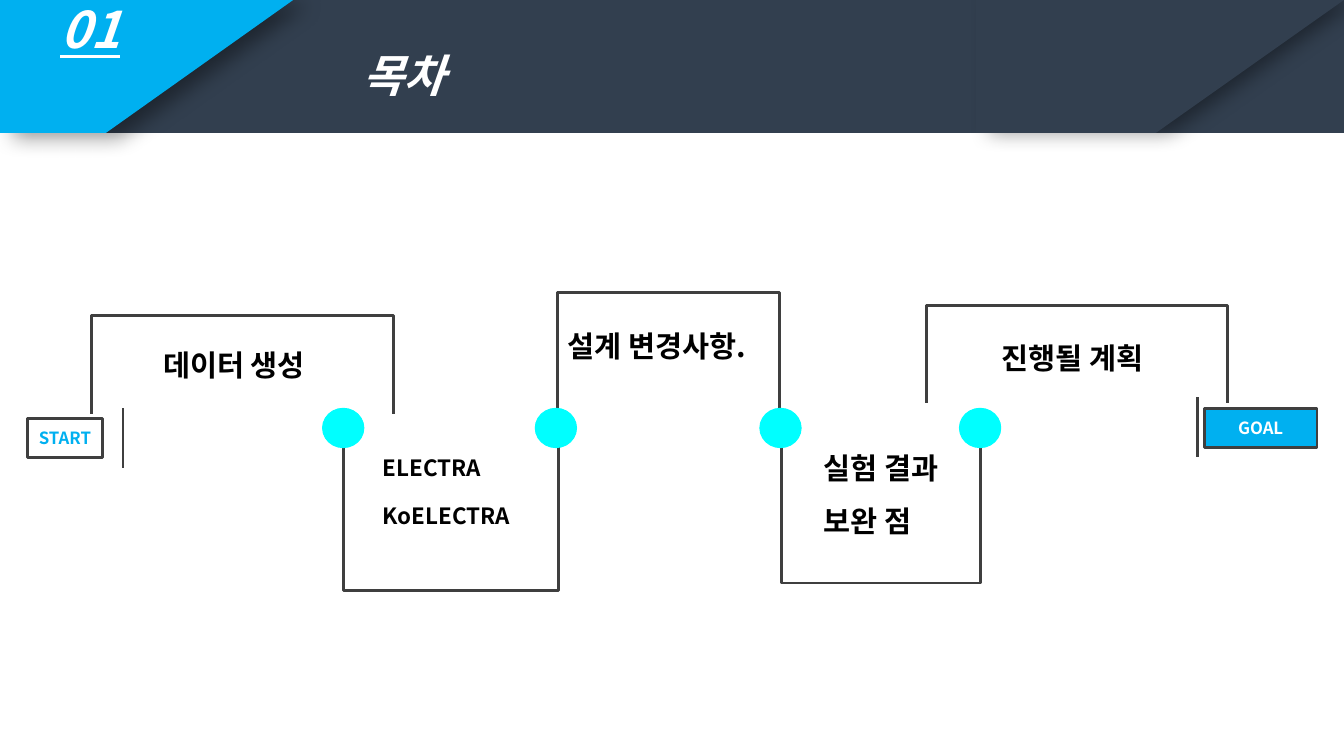
import pptx
import pptx.util
import pptx.dml.color
import pptx.enum.shapes
import pptx.enum.text
import lxml.etree

Cm, Pt = pptx.util.Cm, pptx.util.Pt
SHAPE = pptx.enum.shapes.MSO_SHAPE
ANCHOR = pptx.enum.text.MSO_ANCHOR
ALIGN = pptx.enum.text.PP_ALIGN
FONT = "Noto Sans CJK KR"
NAVY, BLUE, CYAN, GRAY = "323F4F", "00B0F0", "00FFFF", "3F3F3F"
WHITE, BLACK = "FFFFFF", "000000"
A = "http://schemas.openxmlformats.org/drawingml/2006/main"


def paint(shape, fill=None, line=None, width=2):
    """Set fill and outline; None leaves the part empty."""
    shape.shadow.inherit = False
    for part, color in ((shape.fill, fill), (shape.line.fill, line)):
        if color:
            part.solid()
            part.fore_color.rgb = pptx.dml.color.RGBColor.from_string(color)
        else:
            part.background()
    if line:
        shape.line.width = Pt(width)


def write(shape, lines, size, color, align=ALIGN.LEFT, anchor=ANCHOR.TOP,
          spacing=0.9, gap=0, margins=(0.25, 0.25, 0.25, 0.25)):
    """Fill the shape with bold lines; margins are left, top, right, bottom in cm."""
    frame = shape.text_frame
    frame.word_wrap = True
    frame.vertical_anchor = anchor
    (frame.margin_left, frame.margin_top,
     frame.margin_right, frame.margin_bottom) = map(Cm, margins)
    frame.text = "\n".join(lines)
    for number, paragraph in enumerate(frame.paragraphs):
        paragraph.alignment = align
        paragraph.line_spacing = spacing
        if number:
            paragraph.space_before = Pt(gap)
        font = paragraph.font
        font.size, font.bold, font.name = Pt(size), True, FONT
        font.color.rgb = pptx.dml.color.RGBColor.from_string(color)
        east_asian = lxml.etree.SubElement(font._element, f"{{{A}}}ea")
        east_asian.set("typeface", FONT)


deck = pptx.Presentation()
deck.slide_width, deck.slide_height = Cm(33.87), Cm(19.05)
shapes = deck.slides.add_slide(deck.slide_layouts[6]).shapes

# Header band with its two slanted panels
header_height = 3.35
header = shapes.add_shape(SHAPE.RECTANGLE, 0, 0, Cm(33.87), Cm(header_height))
paint(header, NAVY)
write(header, ["목차"], 32, WHITE, anchor=ANCHOR.MIDDLE, spacing=1,
      margins=(9.14, 0.55, 0.25, 0.13))
header.text_frame.paragraphs[0].font.italic = True

panels = []
for left, top_right, bottom_right, color, shadow_angle in (
        (24.59, 33.87, 29.13, NAVY, 0), (0, 7.39, 2.67, BLUE, 20)):
    outline = shapes.build_freeform(Cm(left), 0)
    outline.add_line_segments([(Cm(top_right), 0),
                               (Cm(bottom_right), Cm(header_height)),
                               (Cm(left), Cm(header_height))])
    panel = outline.convert_to_shape()
    paint(panel, color)
    effects = panel._element.spPr.find(f"{{{A}}}effectLst")
    shadow = lxml.etree.SubElement(
        effects, f"{{{A}}}outerShdw", blurRad=str(Pt(15)), dist=str(Pt(10)),
        dir=str(shadow_angle * 60000), algn="ctr", rotWithShape="0")
    shade = lxml.etree.SubElement(shadow, f"{{{A}}}srgbClr", val=BLACK)
    lxml.etree.SubElement(shade, f"{{{A}}}alpha", val="40000")
    panels.append(panel)

number_panel = panels[-1]
write(number_panel, ["01"], 36, WHITE, margins=(1.52, 0.13, 0.25, 0.13))
number_font = number_panel.text_frame.paragraphs[0].font
number_font.italic = number_font.underline = True

# Winding path: centre x, centre y, span, depth; 270 closes at the top, 90 at the bottom
for center_x, center_y, span, depth, rotation in (
        (6.11, 9.19, 7.6, 2.46, 270),
        (11.37, 13.04, 5.41, 3.68, 90),
        (16.84, 9.09, 5.59, 3.45, 270),
        (22.2, 12.85, 5.03, 3.68, 90),
        (27.14, 8.92, 7.6, 2.46, 270)):
    bracket = shapes.add_shape(SHAPE.RIGHT_BRACKET, Cm(center_x - depth / 2),
                               Cm(center_y - span / 2), Cm(depth), Cm(span))
    bracket.adjustments[0] = 0
    bracket.rotation = rotation
    paint(bracket, line=GRAY)

for x, top in ((3.1, 10.29), (30.18, 10.01)):
    tick = shapes.add_connector(pptx.enum.shapes.MSO_CONNECTOR.STRAIGHT,
                                Cm(x), Cm(top), Cm(x), Cm(top + 1.5))
    tick.line.width = Pt(2)
    tick.line.color.rgb = pptx.dml.color.RGBColor.from_string(GRAY)
    lxml.etree.SubElement(tick._element.spPr, f"{{{A}}}effectLst")

for left in (8.13, 13.49, 19.15, 24.18):
    stop = shapes.add_shape(SHAPE.OVAL, Cm(left), Cm(10.29), Cm(1.04), Cm(0.99))
    paint(stop, CYAN, CYAN, 0.75)

for word, left, top, width, fill, color in (
        ("START", 0.69, 10.54, 1.9, WHITE, BLUE),
        ("GOAL", 30.35, 10.29, 2.84, BLUE, WHITE)):
    end_box = shapes.add_shape(SHAPE.RECTANGLE, Cm(left), Cm(top), Cm(width), Cm(0.99))
    paint(end_box, fill, GRAY)
    write(end_box, [word], 12, color, ALIGN.CENTER, ANCHOR.MIDDLE, 1,
          margins=(0.25, 0.13, 0.25, 0.13))

# Topics along the path
for lines, left, top, width, height, size, gap in (
        (["데이터 생성"], 3.86, 8.61, 4.5, 1.7, 21, 0),
        (["ELECTRA", "KoELECTRA"], 9.4, 11.28, 4.19, 2.95, 16, 17),
        (["설계 변경사항."], 14.05, 8.13, 6.35, 1.93, 21, 0),
        (["실험 결과", "보완 점"], 20.5, 11.2, 4.09, 2.54, 21, 15),
        (["진행될 계획"], 24.99, 8.41, 4.83, 1.4, 21, 0)):
    topic = shapes.add_textbox(Cm(left), Cm(top), Cm(width), Cm(height))
    write(topic, lines, size, BLACK, gap=gap)

deck.save("out.pptx")
